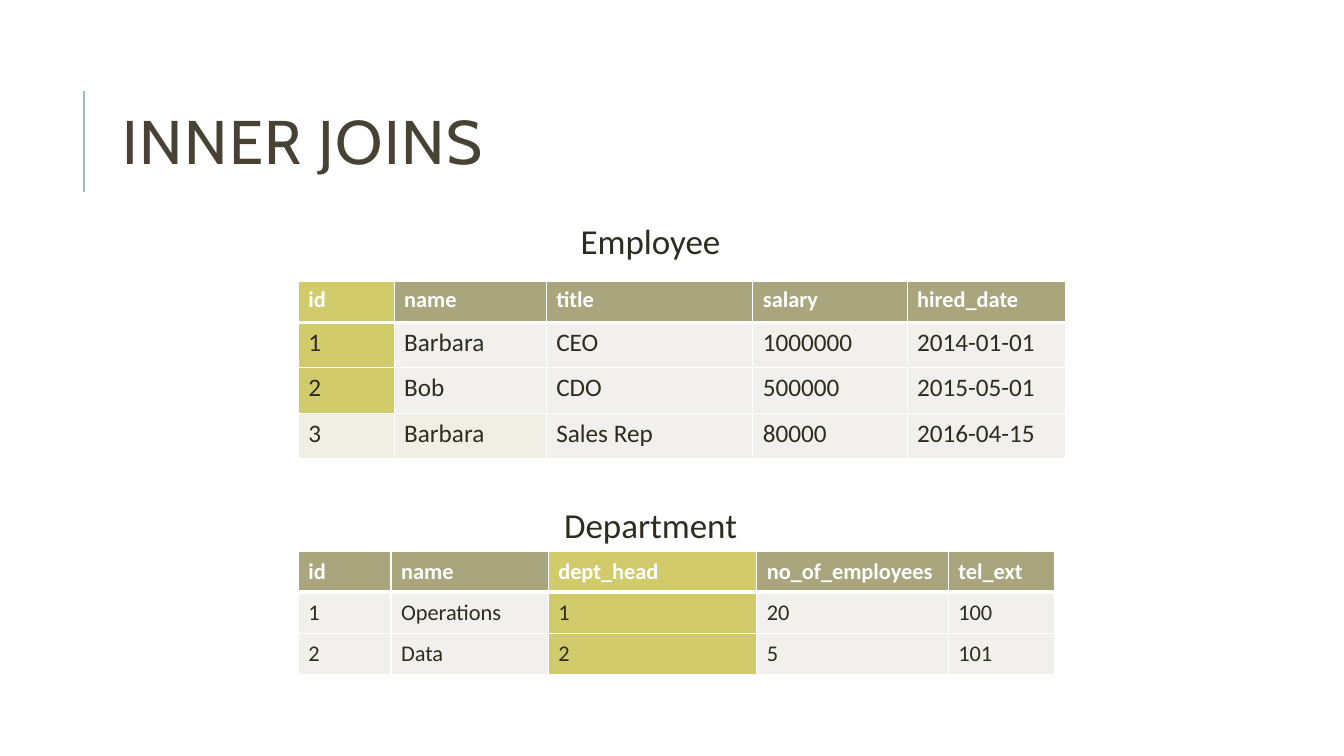
from pptx import Presentation
from pptx.dml.color import RGBColor
from pptx.enum.shapes import MSO_CONNECTOR
from pptx.enum.text import MSO_ANCHOR as ANCHOR, MSO_AUTO_SIZE as AUTO, PP_ALIGN as ALIGN
from pptx.oxml import parse_xml
from pptx.oxml.ns import nsdecls, qn
from pptx.util import Pt

WHITE, INK = "FFFFFF", "2E2B21"
OLIVE, PALE, CREAM, KEY = "A9A57C", "F1F0EC", "EFEFE5", "D2CB6C"


def color(hex_code):
    return RGBColor.from_string(hex_code)


def add_run(paragraph, text, size, hex_code, font="Calibri", bold=False):
    run = paragraph.add_run()
    run.text = text
    run.font.name, run.font.size, run.font.bold = font, Pt(size), bold
    run.font.color.rgb = color(hex_code)
    return run


prs = Presentation()
prs.slide_width, prs.slide_height = Pt(960), Pt(540)
slide = prs.slides.add_slide(prs.slide_layouts[5])
slide.background.fill.solid()
slide.background.fill.fore_color.rgb = color(WHITE)

# Accent line beside the title
accent = slide.shapes.add_connector(MSO_CONNECTOR.STRAIGHT, Pt(60), Pt(136.8), Pt(60), Pt(64.8))
accent.line.color.rgb = color("9CBEBD")
accent.line.width = Pt(1.5)
accent._element.spPr.append(parse_xml(f"<a:effectLst {nsdecls('a')}/>"))

# Title
title = slide.shapes.title
title.left, title.top, title.width, title.height = Pt(80.6), Pt(46), Pt(765.4), Pt(118)
title.text_frame.auto_size = AUTO.NONE
title.text_frame.word_wrap = True
title.text_frame.vertical_anchor = ANCHOR.MIDDLE
heading = title.text_frame.paragraphs[0]
heading.alignment = ALIGN.LEFT
heading.line_spacing = 0.8
heading_run = add_run(heading, "INNER JOINS", 44, "474233", "Cabin")
heading_run.font._element.set("spc", "100")

# Tables: caption, caption top, table top, column widths, row heights,
# body size, anchor, joined column, rows
relations = [
    ("Employee", 153.4, 200.9, [68.4, 108.7, 147.6, 110.2, 113], [29.5, 32.4, 32.4, 32.4],
     18, ANCHOR.TOP, 0,
     [["id", "name", "title", "salary", "hired_date"],
      ["1", "Barbara", "CEO", "1000000", "2014-01-01"],
      ["2", "Bob", "CDO", "500000", "2015-05-01"],
      ["3", "Barbara", "Sales Rep", "80000", "2016-04-15"]]),
    ("Department", 356.4, 393.8, [66.2, 112.3, 149, 136.8, 75.6], [29.3] * 3,
     16, ANCHOR.MIDDLE, 2,
     [["id", "name", "dept_head", "no_of_employees", "tel_ext"],
      ["1", "Operations", "1", "20", "100"],
      ["2", "Data", "2", "5", "101"]]),
]

for name, name_top, top, widths, heights, body_size, anchor, joined, rows in relations:
    # Caption
    caption = slide.shapes.add_textbox(Pt(303.8), Pt(name_top), Pt(321.8), Pt(37.4)).text_frame
    caption.word_wrap = True
    caption.auto_size = AUTO.SHAPE_TO_FIT_TEXT
    caption.paragraphs[0].alignment = ALIGN.CENTER
    add_run(caption.paragraphs[0], name, 25, INK)

    # Grid
    grid = slide.shapes.add_table(len(rows), len(widths), Pt(213.1), Pt(top),
                                  Pt(sum(widths)), Pt(sum(heights))).table
    for column, width in zip(grid.columns, widths):
        column.width = Pt(width)
    for r, values in enumerate(rows):
        grid.rows[r].height = Pt(heights[r])
        for c, value in enumerate(values):
            cell = grid.cell(r, c)
            cell.vertical_anchor = anchor
            header = r == 0
            add_run(cell.text_frame.paragraphs[0], value, 16 if header else body_size,
                    WHITE if header else INK, bold=header)

            # The joined column is highlighted where the keys match
            if c == joined and r < 3:
                shade = KEY
            elif header:
                shade = OLIVE
            else:
                shade = CREAM if r == 3 and c < 2 else PALE
            cell.fill.solid()
            cell.fill.fore_color.rgb = color(shade)

            # White rules, heavier under the header
            edges = {"L": 1, "R": 1, "T": 3 if r == 1 else 1, "B": 3 if header else 1}
            for place, (side, weight) in enumerate(edges.items()):
                edge = parse_xml(f'<a:ln{side} {nsdecls("a")} w="{Pt(weight)}"><a:solidFill>'
                                 f'<a:srgbClr val="{WHITE}"/></a:solidFill></a:ln{side}>')
                cell._tc.find(qn("a:tcPr")).insert(place, edge)

prs.save("out.pptx")
